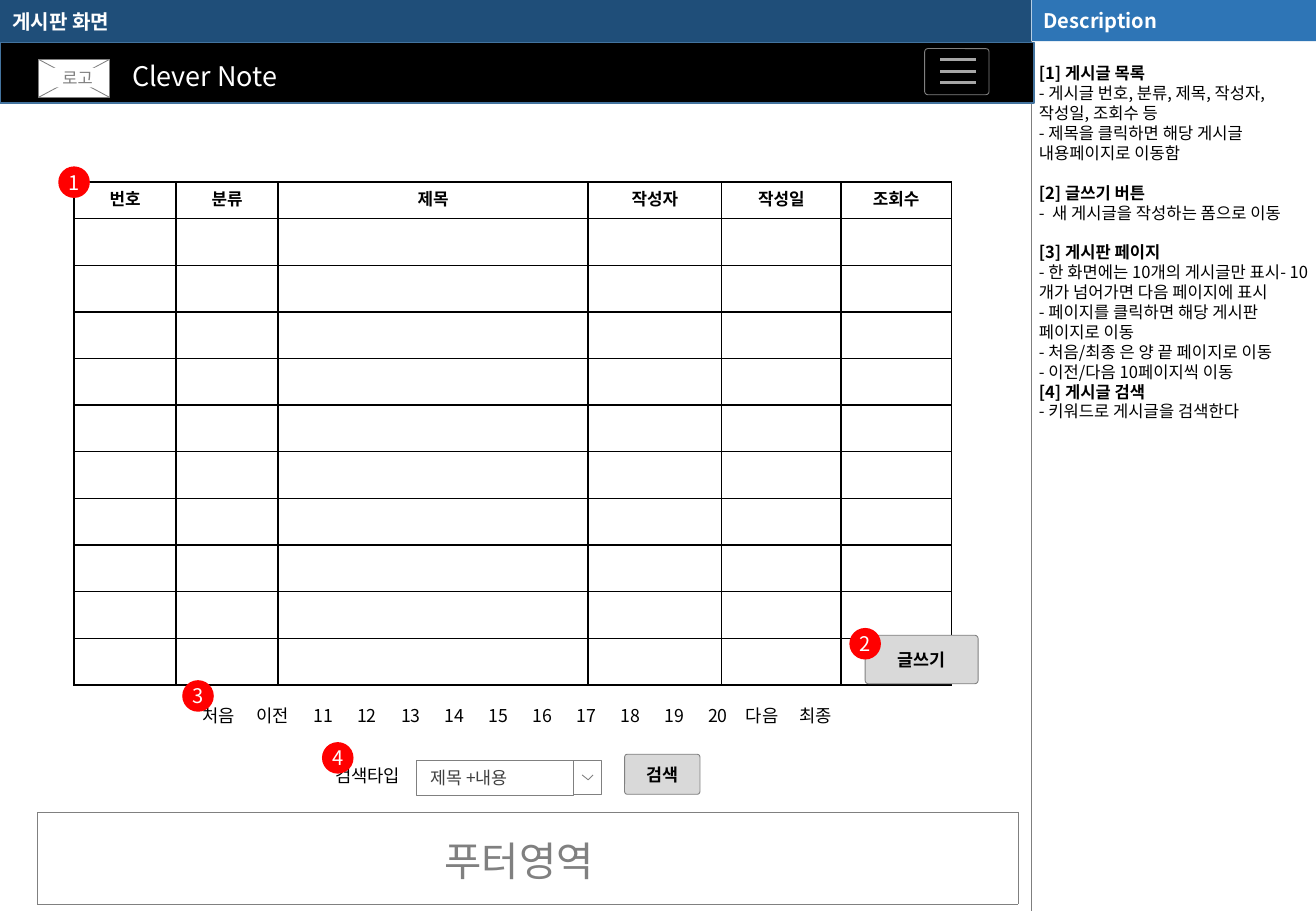
from pptx import Presentation
from pptx.dml.color import RGBColor
from pptx.enum.shapes import MSO_CONNECTOR, MSO_SHAPE
from pptx.enum.text import MSO_ANCHOR, PP_ALIGN
from pptx.oxml.ns import qn
from pptx.util import Inches, Pt
from lxml.etree import SubElement

FONT = "Noto Sans CJK KR"
GRAY = "808080"
RECT, ROUND = MSO_SHAPE.RECTANGLE, MSO_SHAPE.ROUNDED_RECTANGLE
LEFT, CENTER = PP_ALIGN.LEFT, PP_ALIGN.CENTER

DESCRIPTION = [
    ("[1] 게시글 목록", [
        "- 게시글 번호, 분류, 제목, 작성자, 작성일, 조회수 등",
        "- 제목을 클릭하면 해당 게시글 내용페이지로 이동함"]),
    ("[2] 글쓰기 버튼", ["-  새 게시글을 작성하는 폼으로 이동"]),
    ("[3] 게시판 페이지", [
        "- 한 화면에는 10개의 게시글만 표시- 10개가 넘어가면 다음 페이지에 표시",
        "- 페이지를 클릭하면 해당 게시판 페이지로 이동",
        "- 처음/최종 은 양 끝 페이지로 이동",
        "- 이전/다음 10페이지씩 이동"]),
    ("[4] 게시글 검색", ["- 키워드로 게시글을 검색한다"]),
]
SPACED_HEADINGS = ("[2] 글쓰기 버튼", "[3] 게시판 페이지")
COLUMNS = [("번호", 0.84), ("분류", 0.84), ("제목", 2.55),
           ("작성자", 1.1), ("작성일", 0.98), ("조회수", 0.91)]
POST_COUNT, HEADER_HEIGHT, BOARD_HEIGHT = 10, 0.3, 4.14
PAGES = range(11, 21)
FIRST_PAGE_LEFT, LAST_PAGE_LEFT = 2.48, 5.73
PAGE_WORDS = [("처음", 1.57), ("이전", 2.01), ("다음", 6.04), ("최종", 6.48)]
BUTTONS = [("글쓰기", (7.12, 5.23, 0.93, 0.4)), ("검색", (5.14, 6.21, 0.62, 0.33))]
BADGES = [(0.48, 1.37), (6.99, 5.17), (1.5, 5.6), (2.65, 6.11)]
LOGO = (0.32, 0.49, 0.58, 0.31)


def color(value):
    return RGBColor.from_string(value)


def inches(values):
    return [Inches(value) for value in values]


def write(paragraph, text, size, text_color="000000", bold=False, align=LEFT):
    paragraph.alignment = align
    paragraph.line_spacing = Pt(round(size * 1.2, 1))
    run = paragraph.add_run()
    run.text = text
    font = run.font
    font.size, font.bold, font.name = Pt(size), bold, FONT
    font.color.rgb = color(text_color)
    SubElement(font._element, qn("a:ea")).set("typeface", FONT)


def set_frame(frame, insets=(0.1, 0.05), anchor=MSO_ANCHOR.TOP, wrap=True):
    frame.margin_left = frame.margin_right = Inches(insets[0])
    frame.margin_top = frame.margin_bottom = Inches(insets[1])
    frame.vertical_anchor = anchor
    frame.word_wrap = wrap


def add_box(kind, place, fill=None, line=None, width=0.5):
    shape = slide.shapes.add_shape(kind, *inches(place))
    shape.shadow.inherit = False
    if kind == ROUND:
        shape.adjustments[0] = 0.07
    if fill:
        shape.fill.solid()
        shape.fill.fore_color.rgb = color(fill)
    else:
        shape.fill.background()
    if line:
        shape.line.color.rgb = color(line)
        shape.line.width = Pt(width)
    else:
        shape.line.fill.background()
    return shape


def add_label(place, text, size, text_color="000000", align=LEFT, wrap=True):
    frame = slide.shapes.add_textbox(*inches(place)).text_frame
    set_frame(frame, wrap=wrap)
    write(frame.paragraphs[0], text, size, text_color, align=align)


def fill_text(shape, text, size, text_color="000000", bold=False, align=CENTER,
              insets=(0.1, 0.05), anchor=MSO_ANCHOR.MIDDLE, wrap=True):
    set_frame(shape.text_frame, insets, anchor, wrap)
    write(shape.text_frame.paragraphs[0], text, size, text_color, bold, align)


def add_line(ends, line_color, width):
    line = slide.shapes.add_connector(MSO_CONNECTOR.STRAIGHT, *inches(ends))
    line.line.color.rgb = color(line_color)
    line.line.width = Pt(width)
    SubElement(line._element.spPr, qn("a:effectLst"))


def add_table(place, rows, columns, border, width):
    table = slide.shapes.add_table(rows, columns, *inches(place)).table
    table.first_row = table.horz_banding = False
    for cell in table.iter_cells():
        cell.margin_top = cell.margin_bottom = 0
        cell.vertical_anchor = MSO_ANCHOR.MIDDLE
        properties = cell._tc.get_or_add_tcPr()
        for side in ("lnL", "lnR", "lnT", "lnB"):
            edge = SubElement(properties, qn("a:" + side), w=str(Pt(width)))
            paint = SubElement(edge, qn("a:solidFill"))
            SubElement(paint, qn("a:srgbClr"), val=border)
        cell.fill.background()
    return table


presentation = Presentation()
presentation.slide_width, presentation.slide_height = Inches(10.83), Inches(7.5)
slide = presentation.slides.add_slide(presentation.slide_layouts[5])

# Title band and description panel
title = slide.shapes.title
title.left, title.top, title.width, title.height = inches((0, 0, 8.49, 0.35))
title.fill.solid()
title.fill.fore_color.rgb = color("1F4E79")
fill_text(title, "게시판 화면", 11.9, "FFFFFF", True, LEFT)
add_line((8.49, 0, 8.49, 0.35), "FFFFFF", 0.25)
add_line((8.49, 0.34, 8.49, 7.5), "7F7F7F", 0.25)
fill_text(add_box(RECT, (8.49, 0, 2.34, 0.34), "2E75B6"),
          "Description", 11.9, "FFFFFF", True, LEFT)

frame = slide.shapes.add_textbox(*inches((8.51, 0.52, 2.33, 6.98))).text_frame
set_frame(frame, (0.04, 0))
paragraph = frame.paragraphs[0]
for heading, notes in DESCRIPTION:
    for text in [heading, *notes]:
        if paragraph.runs:
            paragraph = frame.add_paragraph()
        write(paragraph, text, 9.8, bold=text == heading)
        if text in SPACED_HEADINGS:
            paragraph.space_before = Pt(11.8)

# Board
board = add_table((0.61, 1.5, 7.22, BOARD_HEIGHT), POST_COUNT + 1, len(COLUMNS), "000000", 1)
for row in board.rows:
    row.height = Inches((BOARD_HEIGHT - HEADER_HEIGHT) / POST_COUNT)
board.rows[0].height = Inches(HEADER_HEIGHT)
for cell in board.iter_cells():
    cell.fill.solid()
    cell.fill.fore_color.rgb = color("FFFFFF")
for index, (name, width) in enumerate(COLUMNS):
    board.columns[index].width = Inches(width)
    write(board.cell(0, index).text_frame.paragraphs[0], name, 10, bold=True, align=CENTER)

for text, place in BUTTONS:
    fill_text(add_box(ROUND, place, "D9D9D9", GRAY), text, 10.3, bold=True)

# Page numbers
page_step = (LAST_PAGE_LEFT - FIRST_PAGE_LEFT) / (len(PAGES) - 1)
for index, page in enumerate(PAGES):
    add_label((FIRST_PAGE_LEFT + index * page_step, 5.75, 0.36, 0.28), str(page), 10.5, wrap=False)
for text, left in PAGE_WORDS:
    add_label((left, 5.75, 0.5, 0.28), text, 10.5, wrap=False)

# Search
add_label((2.66, 6.25, 0.79, 0.28), "검색타입", 10.5, wrap=False)
fill_text(add_box(RECT, (3.43, 6.26, 1.29, 0.29), "FFFFFF", GRAY),
          "제목 +내용", 10.3, "404040", align=LEFT, insets=(0.11, 0.06))
add_box(RECT, (4.72, 6.26, 0.23, 0.28), "FFFFFF", GRAY)
builder = slide.shapes.build_freeform(Inches(4.88), Inches(6.38))
builder.add_line_segments([inches((4.84, 6.42)), inches((4.79, 6.38))], close=False)
chevron = builder.convert_to_shape()
chevron.shadow.inherit = False
chevron.fill.background()
chevron.line.color.rgb = color(GRAY)
chevron.line.width = Pt(0.5)

# Navigation bar
add_box(RECT, (0, 0.35, 8.51, 0.5), "000000", "43739E", 1)
add_label((0.83, 0.44, 1.71, 0.37), "Clever Note", 16, "FFFFFF", CENTER)
add_box(RECT, LOGO, "FFFFFF", GRAY)
left, top, width, height = LOGO
add_line((left, top + height, left + width, top), GRAY, 0.5)
add_line((left, top, left + width, top + height), GRAY, 0.5)
fill_text(add_box(RECT, (0.42, 0.56, 0.44, 0.16), "FFFFFF"), "로고", 9.8, GRAY,
          insets=(0.04, 0), anchor=MSO_ANCHOR.TOP)
add_box(ROUND, (7.61, 0.4, 0.53, 0.38), line=GRAY)
for y in (0.49, 0.59, 0.68):
    add_line((7.74, y, 8.03, y), "A6A6A6", 1.5)

# Footer
add_table((0.31, 6.69, 8.07, 0.75), 1, 1, GRAY, 0.25)
fill_text(add_box(RECT, (3.66, 6.88, 1.36, 0.4), "FFFFFF"), "푸터영역", 24, GRAY,
          align=LEFT, insets=(0, 0), anchor=MSO_ANCHOR.TOP)

for number, (left, top) in enumerate(BADGES, 1):
    fill_text(add_box(MSO_SHAPE.OVAL, (left, top, 0.26, 0.26), "FF0000"),
              str(number), 11.9, "FFFFFF", insets=(0, 0), wrap=False)

presentation.save("out.pptx")
